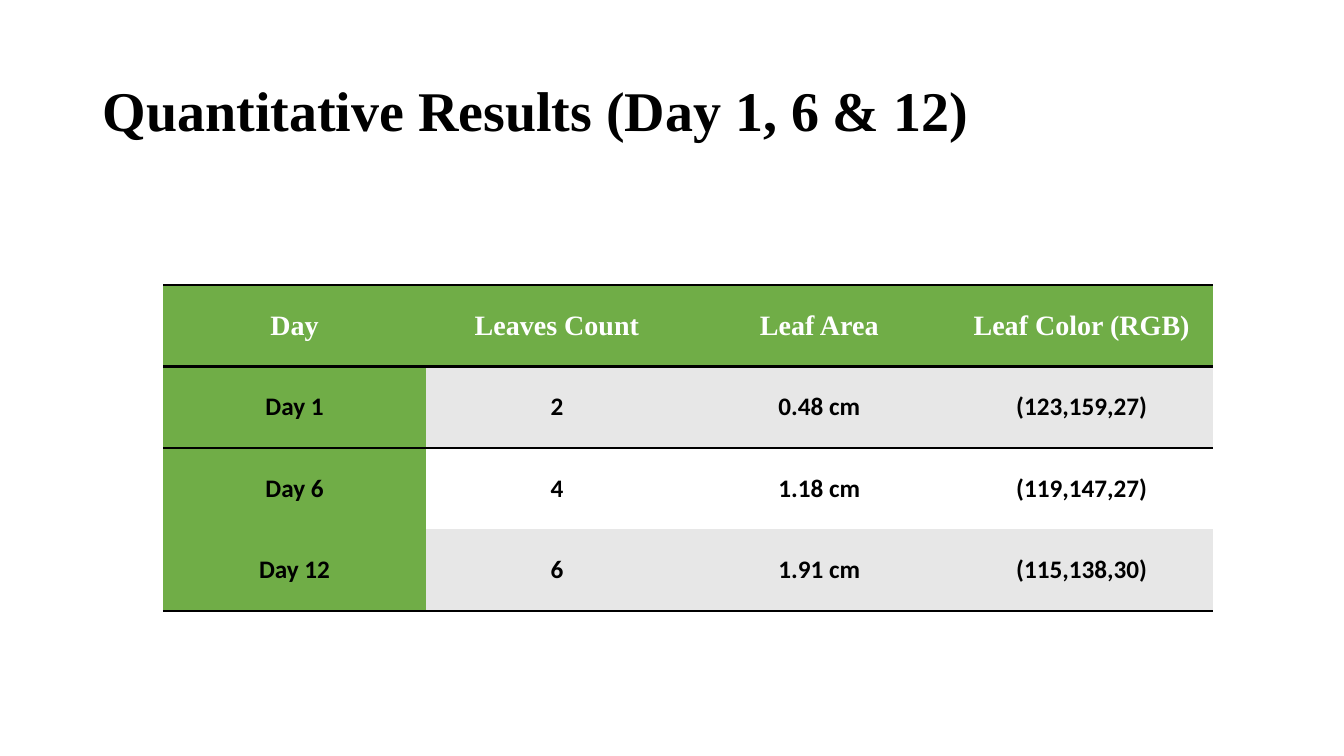
from lxml.etree import SubElement
from pptx import Presentation
from pptx.dml.color import RGBColor
from pptx.enum.text import MSO_ANCHOR, PP_ALIGN
from pptx.oxml.ns import qn
from pptx.util import Inches, Pt

BLACK = RGBColor(0x00, 0x00, 0x00)
WHITE = RGBColor(0xFF, 0xFF, 0xFF)
GREEN = RGBColor(0x70, 0xAD, 0x47)
GRAY = RGBColor(0xE7, 0xE7, 0xE7)
NO_GRID_STYLE = "{2D5ABB26-0587-4C30-8999-92F81FD0307C}"

RESULTS = [
    ("Day", "Leaves Count", "Leaf Area", "Leaf Color (RGB)"),
    ("Day 1", "2", "0.48 cm", "(123,159,27)"),
    ("Day 6", "4", "1.18 cm", "(119,147,27)"),
    ("Day 12", "6", "1.91 cm", "(115,138,30)"),
]


def write_text(frame, text, size, font="Calibri", color=BLACK,
               align=PP_ALIGN.CENTER, line_spacing=None):
    paragraph = frame.paragraphs[0]
    paragraph.alignment = align
    paragraph.line_spacing = line_spacing
    run = paragraph.add_run()
    run.text = text
    run.font.size = Pt(size)
    run.font.name = font
    run.font.bold = True
    run.font.color.rgb = color


def add_border(cell, edge):
    """Draw a 2 pt black rule on one edge: lnT for top, lnB for bottom."""
    line = SubElement(cell._tc.get_or_add_tcPr(), qn(f"a:{edge}"), w=str(Pt(2)))
    fill = SubElement(line, qn("a:solidFill"))
    SubElement(fill, qn("a:srgbClr"), val=str(BLACK))


prs = Presentation()
prs.slide_width = Inches(13.33)
prs.slide_height = Inches(7.5)
slide = prs.slides.add_slide(prs.slide_layouts[6])

title = slide.shapes.add_textbox(Inches(0.92), Inches(0.4), Inches(11.5), Inches(1.45))
title.text_frame.word_wrap = True
title.text_frame.vertical_anchor = MSO_ANCHOR.MIDDLE
write_text(title.text_frame, "Quantitative Results (Day 1, 6 & 12)", 40,
           font="Times New Roman", align=PP_ALIGN.LEFT, line_spacing=0.9)

results = slide.shapes.add_table(
    len(RESULTS), len(RESULTS[0]),
    Inches(1.62), Inches(2.83), Inches(10.41), Inches(3.23)).table
results._tbl.tblPr.find(qn("a:tableStyleId")).text = NO_GRID_STYLE
results.horz_banding = False
results.first_col = True

last_row = len(RESULTS) - 1
for row, values in enumerate(RESULTS):
    for column, value in enumerate(values):
        cell = results.cell(row, column)
        cell.vertical_anchor = MSO_ANCHOR.MIDDLE
        if row <= 1:
            add_border(cell, "lnT")
        if row in (0, last_row):
            add_border(cell, "lnB")
        cell.fill.solid()
        if row == 0 or column == 0:
            cell.fill.fore_color.rgb = GREEN
        else:
            cell.fill.fore_color.rgb = GRAY if row % 2 else WHITE
        if row == 0:
            write_text(cell.text_frame, value, 20, font="Times New Roman", color=WHITE)
        else:
            write_text(cell.text_frame, value, 18)

prs.save("out.pptx")
